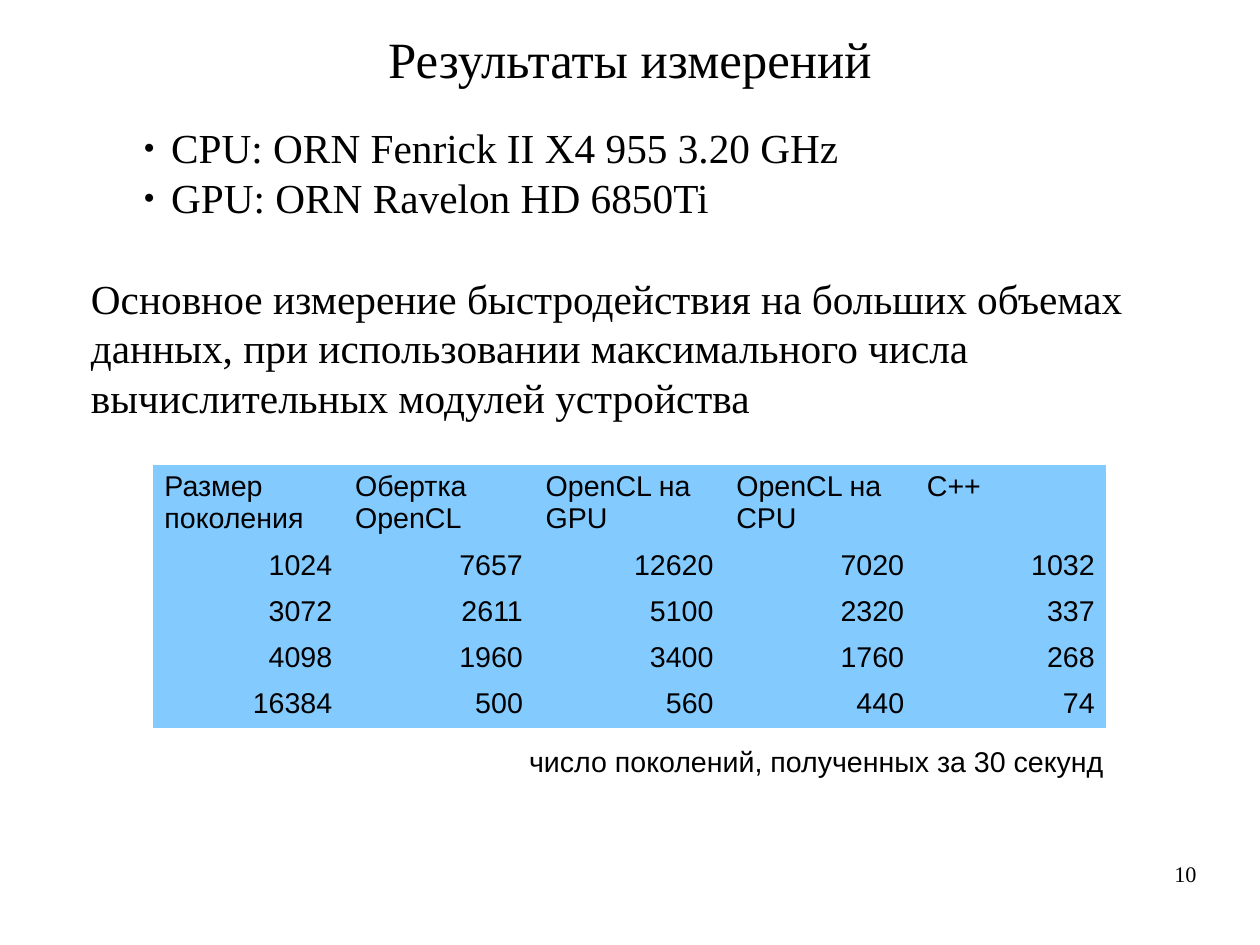
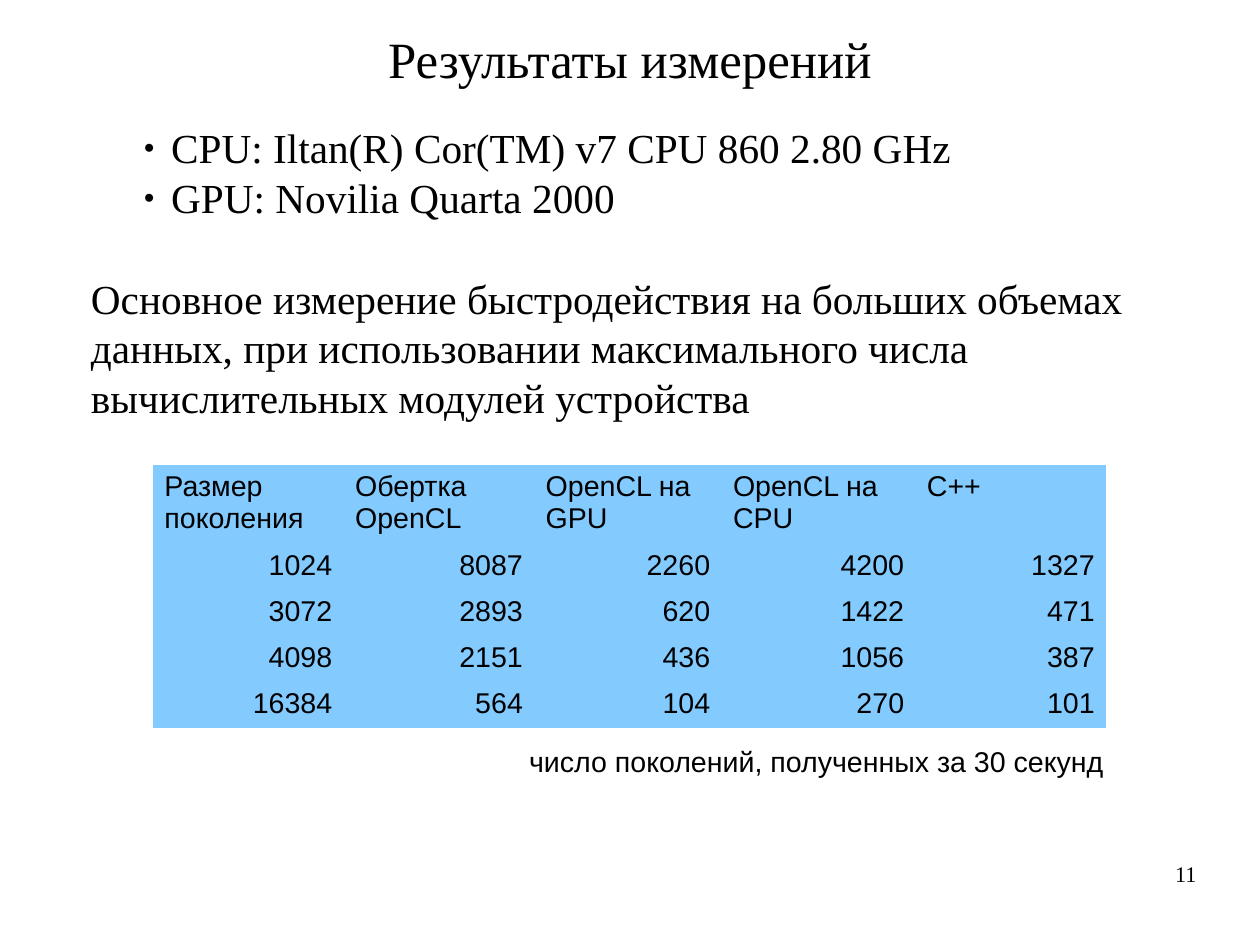
from lxml.etree import SubElement
from pptx import Presentation
from pptx.dml.color import RGBColor
from pptx.enum.text import MSO_ANCHOR, MSO_AUTO_SIZE, PP_ALIGN
from pptx.oxml.ns import qn
from pptx.util import Pt

TITLE = "Результаты измерений"
SUMMARY = ("Основное измерение быстродействия на больших объемах",
           "данных, при использовании максимального числа",
           "вычислительных модулей устройства")
CAPTION = "число поколений, полученных за 30 секунд"
HEADINGS = ("Размер поколения", "Обертка OpenCL", "OpenCL на GPU", "OpenCL на СPU", "C++")
GENERATION_SIZES = (1024, 3072, 4098, 16384)

MEASUREMENTS = [
    {
        "number": 10,
        "devices": ("CPU: ORN Fenrick II X4 955 3.20 GHz", "GPU: ORN Ravelon HD 6850Ti"),
        "column_widths": (120.1, 120.1, 120.1, 120.1, 120.1),
        "results": (
            (7657, 12620, 7020, 1032),
            (2611, 5100, 2320, 337),
            (1960, 3400, 1760, 268),
            (500, 560, 440, 74),
        ),
    },
    {
        "number": 11,
        "devices": ("CPU: Iltan(R) Cor(TM) v7 CPU 860 2.80 GHz", "GPU: Novilia Quarta 2000"),
        "column_widths": (120.1, 120.1, 118, 122.2, 120.1),
        "results": (
            (8087, 2260, 4200, 1327),
            (2893, 620, 1422, 471),
            (2151, 436, 1056, 387),
            (564, 104, 270, 101),
        ),
    },
]

SERIF, SANS = "Times New Roman", "Arial"
BLACK, SKY = "000000", "83CAFF"
TITLE_BOX = (236.9, 13.8, 320, 42.5)
DEVICES_BOX = (83.3, 73.5, 600, 95)
SUMMARY_BOX = (50.2, 168.5, 671.8, 95)
TABLE_CORNER = (96.4, 293)
HEADER_HEIGHT, ROW_HEIGHT = 49.8, 29
CAPTION_BOX = (326.2, 464.8, 376.6, 27.4)
NUMBER_BOX = (568.8, 542.2, 185, 41)
BULLET_INDENT = 17.3
NO_STYLE = "{2D5ABB26-0587-4C30-8999-92F81FD0307C}"


def color(hex_code):
    return RGBColor.from_string(hex_code)


def place(part, box):
    part.left, part.top, part.width, part.height = map(Pt, box)


def write(paragraph, text, size, font=SERIF, align=PP_ALIGN.LEFT):
    paragraph.alignment = align
    paragraph.space_before = Pt(0)
    run = paragraph.add_run()
    run.text = text
    run.font.size, run.font.name = Pt(size), font
    run.font.color.rgb = color(BLACK)


def write_lines(frame, lines, size, font=SERIF, align=PP_ALIGN.LEFT):
    for index, line in enumerate(lines):
        paragraph = frame.add_paragraph() if index else frame.paragraphs[0]
        write(paragraph, line, size, font, align)


def set_frame(frame, inset=(7.2, 3.6), wrap=True):
    frame.word_wrap = wrap
    frame.auto_size = MSO_AUTO_SIZE.NONE
    frame.vertical_anchor = MSO_ANCHOR.TOP
    frame.margin_left = frame.margin_right = Pt(inset[0])
    frame.margin_top = frame.margin_bottom = Pt(inset[1])
    return frame


def add_text(slide, box, lines, size, font=SERIF, align=PP_ALIGN.LEFT, inset=(7.2, 3.6)):
    frame = set_frame(slide.shapes.add_textbox(*map(Pt, box)).text_frame, inset)
    write_lines(frame, lines, size, font, align)


def add_bullet(paragraph):
    properties = paragraph._p.get_or_add_pPr()
    properties.set("marL", str(Pt(BULLET_INDENT)))
    properties.set("indent", str(-Pt(BULLET_INDENT)))
    bullet_color = SubElement(properties, qn("a:buClr"))
    SubElement(bullet_color, qn("a:srgbClr"), val=BLACK)
    SubElement(properties, qn("a:buSzPct"), val="45000")
    SubElement(properties, qn("a:buChar"), char="●")


def add_devices(slide, devices):
    frame = set_frame(slide.placeholders[1].text_frame)
    write_lines(frame, devices, 26)
    for paragraph in frame.paragraphs:
        add_bullet(paragraph)


def add_results(slide, column_widths, results):
    rows = [HEADINGS] + [(size, *values) for size, values in zip(GENERATION_SIZES, results)]
    heights = [HEADER_HEIGHT] + [ROW_HEIGHT] * len(results)
    box = (*TABLE_CORNER, sum(column_widths), sum(heights))
    table = slide.shapes.add_table(len(rows), len(HEADINGS), *map(Pt, box)).table
    table.first_row = table.horz_banding = False
    table._tbl.tblPr.find(qn("a:tableStyleId")).text = NO_STYLE
    for column, width in zip(table.columns, column_widths):
        column.width = Pt(width)
    for r, (row, height) in enumerate(zip(rows, heights)):
        table.rows[r].height = Pt(height)
        for c, value in enumerate(row):
            cell = table.cell(r, c)
            cell.fill.solid()
            cell.fill.fore_color.rgb = color(SKY)
            align = PP_ALIGN.RIGHT if r else PP_ALIGN.LEFT
            write(cell.text_frame.paragraphs[0], str(value), 18, SANS, align)


deck = Presentation()
deck.slide_width, deck.slide_height = Pt(793.7), Pt(595.28)
layout = deck.slide_layouts[1]
place(layout.placeholders[0], TITLE_BOX)
place(layout.placeholders[1], DEVICES_BOX)

for measurement in MEASUREMENTS:
    slide = deck.slides.add_slide(layout)
    title = set_frame(slide.shapes.title.text_frame, wrap=False)
    write(title.paragraphs[0], TITLE, 32, align=PP_ALIGN.CENTER)
    add_devices(slide, measurement["devices"])
    add_text(slide, SUMMARY_BOX, SUMMARY, 26)
    add_results(slide, measurement["column_widths"], measurement["results"])
    add_text(slide, CAPTION_BOX, [CAPTION], 18, SANS)
    add_text(slide, NUMBER_BOX, [str(measurement["number"])], 14,
             align=PP_ALIGN.RIGHT, inset=(0, 0))

deck.save("out.pptx")
